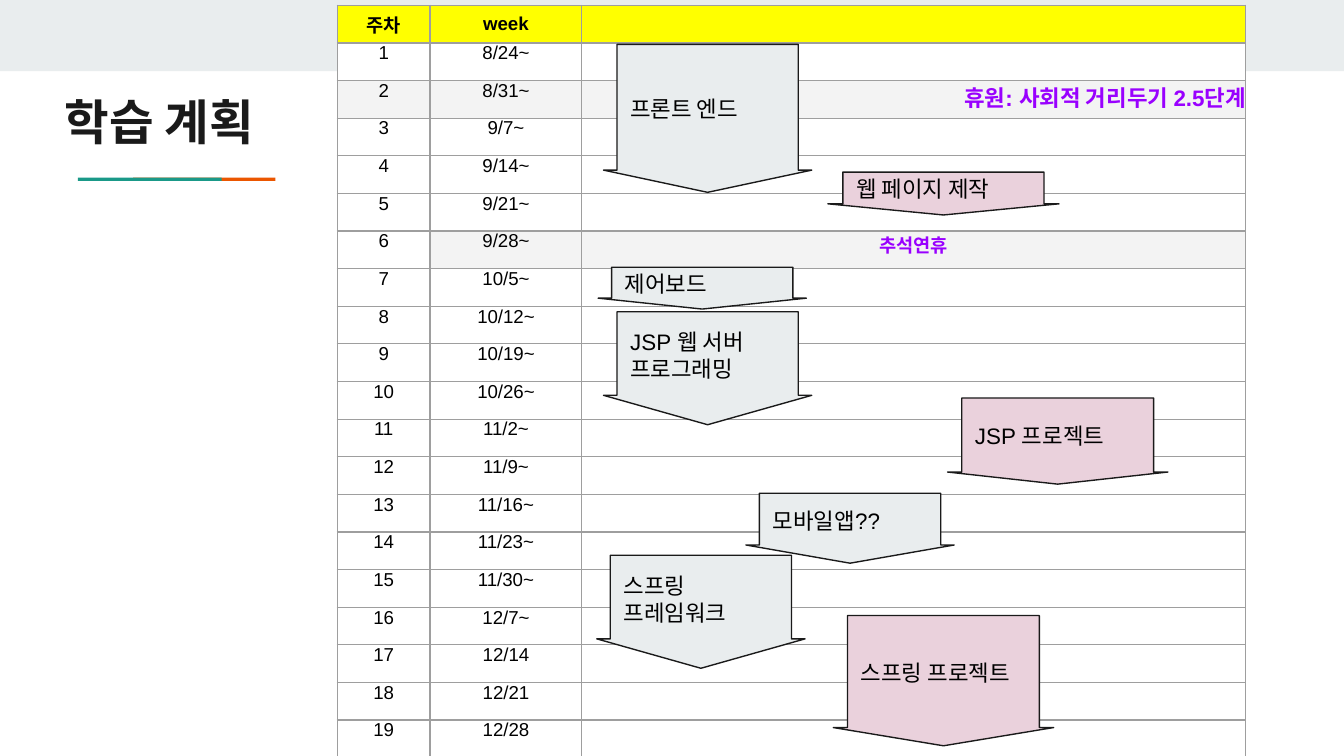
from dataclasses import dataclass
from lxml.etree import SubElement as Sub
from pptx import Presentation as Deck
from pptx.dml.color import RGBColor as Rgb
from pptx.enum.shapes import MSO_SHAPE as Form
from pptx.enum.text import MSO_ANCHOR as Anchor, MSO_AUTO_SIZE as Auto, PP_ALIGN as Align
from pptx.oxml.ns import qn
from pptx.util import Inches, Pt


@dataclass(frozen=True)
class Theme:
    white: str = "FFFFFF"
    mist: str = "E9EDEE"
    pink: str = "EAD1DC"
    teal: str = "1A9988"
    flame: str = "EB5600"
    ink: str = "1A1A1A"
    black: str = "000000"
    violet: str = "9900FF"
    yellow: str = "FFFF00"
    shade: str = "F3F3F3"
    rule: str = "9E9E9E"
    face: str = "Arial"
    bold_face: str = "Manrope"
    head: float = 26
    label: float = 12
    small: float = 10
    stroke: float = 0.75


@dataclass(frozen=True)
class Box:
    left: float
    top: float
    width: float
    height: float


@dataclass(frozen=True)
class Arrow:
    text: str
    left: float
    row: float
    width: float
    rows: float
    fill: str
    tip: float = 0.26


@dataclass(frozen=True)
class Note:
    text: str
    size: float
    align: Align


look = Theme()
WIDE, HIGH = Inches(10), Inches(5.625)
GRID = Box(25.1, 0.7, 67.6, 99.6)
COLS = (6.9, 11.3, 49.4)
DATES = ("8/24~ 8/31~ 9/7~ 9/14~ 9/21~ 9/28~ 10/5~ 10/12~ 10/19~ 10/26~ "
         "11/2~ 11/9~ 11/16~ 11/23~ 11/30~ 12/7~ 12/14 12/21 12/28").split()
STEP = GRID.height / (len(DATES) + 1)
NOTES = {
    2: Note("휴원: 사회적 거리두기 2.5단계", look.label, Align.RIGHT),
    6: Note("추석연휴", look.small, Align.CENTER),
}
SHADED = {(2, 0), (2, 1), (2, 2), (6, 1), (6, 2)}
BARS = (
    (Box(0, 0, 100, 9.4), look.mist),
    (Box(9.9, 23.5, 10.6, 0.45), look.flame),
    (Box(5.8, 23.5, 10.7, 0.45), look.teal),
)
ARROWS = (
    Arrow("프론트 엔드", 44.9, 1.04, 15.5, 3.93, look.mist, 0.15),
    Arrow("웹 페이지 제작", 61.6, 4.43, 17.2, 1.14, look.pink),
    Arrow("제어보드", 44.5, 6.96, 15.5, 1.11, look.mist),
    Arrow("스프링 프레임워크", 44.4, 14.61, 15.5, 3, look.mist),
    Arrow("스프링 프로젝트", 62, 16.21, 16.4, 3.46, look.pink, 0.14),
    Arrow("모바일앱??", 55.5, 12.96, 15.5, 1.86, look.mist),
    Arrow("JSP 웹 서버 프로그래밍", 44.9, 8.14, 15.5, 3, look.mist),
    Arrow("JSP 프로젝트", 70.5, 10.43, 16.4, 2.29, look.pink, 0.14),
)


def style(item, form: dict) -> None:
    for key, value in form.items():
        setattr(item, key, value)


def across(share: float) -> int:
    return round(WIDE * share / 100)


def down(share: float) -> int:
    return round(HIGH * share / 100)


def place(box: Box) -> tuple:
    return across(box.left), down(box.top), across(box.width), down(box.height)


def paint(item, tint: str) -> None:
    item.fill.solid()
    item.fill.fore_color.rgb = Rgb.from_string(tint)


def write(frame, text: str, size: float, tint: str, align: Align = Align.LEFT,
          bold: bool = False, face: str = look.face) -> None:
    line = frame.paragraphs[0]
    line.alignment = align
    run = line.add_run()
    run.text = text
    style(run.font, {"name": face, "size": Pt(size), "bold": bold})
    run.font.color.rgb = Rgb.from_string(tint)


def pad(frame, inset: float) -> None:
    sides = ("left", "top", "right", "bottom")
    style(frame, {f"margin_{side}": Inches(inset) for side in sides})


def draw_form(slide, kind: Form, box: Box, tint: str):
    shape = slide.shapes.add_shape(kind, *place(box))
    shape.shadow.inherit = False
    paint(shape, tint)
    shape.line.fill.background()
    return shape


def draw_title(slide, text: str) -> None:
    title = slide.shapes.title
    spot = place(Box(3.8, 10.8, 18.5, 10.5))
    style(title, dict(zip(("left", "top", "width", "height"), spot)))
    frame = title.text_frame
    style(frame, {"word_wrap": True, "auto_size": Auto.NONE,
                  "vertical_anchor": Anchor.MIDDLE})
    pad(frame, 0.1)
    write(frame, text, look.head, look.ink, bold=True, face=look.bold_face)


def edge(cell) -> None:
    props = cell._tc.get_or_add_tcPr()
    for side in ("lnL", "lnR", "lnT", "lnB"):
        line = Sub(props, qn(f"a:{side}"), w=str(Pt(look.stroke)))
        fill = Sub(line, qn("a:solidFill"))
        Sub(fill, qn("a:srgbClr"), val=look.rule)


def fill_cell(cell, row: int, col: int) -> None:
    edge(cell)
    pad(cell, 0)
    first = row == 0
    shade = look.shade if (row, col) in SHADED else look.white
    paint(cell, look.yellow if first else shade)
    cell.vertical_anchor = Anchor.MIDDLE if first else Anchor.TOP
    frame = cell.text_frame
    if col < 2:
        text = ("주차", "week")[col] if first else (str(row), DATES[row - 1])[col]
        write(frame, text, look.small, look.black, Align.CENTER, first)
    elif row in NOTES:
        note = NOTES[row]
        write(frame, note.text, note.size, look.violet, note.align, True)
    else:
        end = frame.paragraphs[0]._p.get_or_add_endParaRPr()
        end.set("sz", str(look.small * 100))


def draw_grid(slide) -> None:
    count = len(DATES) + 1
    table = slide.shapes.add_table(count, len(COLS), *place(GRID)).table
    style(table, {"first_row": False, "horz_banding": False})
    for col, share in zip(table.columns, COLS):
        col.width = across(share)
    for row, line in enumerate(table.rows):
        line.height = down(STEP)
        for col, cell in enumerate(line.cells):
            fill_cell(cell, row, col)


def draw_arrow(slide, arrow: Arrow) -> None:
    box = Box(arrow.left, GRID.top + arrow.row * STEP, arrow.width, arrow.rows * STEP)
    shape = draw_form(slide, Form.DOWN_ARROW, box, arrow.fill)
    shape.adjustments[0] = 0.87
    shape.adjustments[1] = arrow.tip
    shape.line.color.rgb = Rgb.from_string(look.ink)
    shape.line.width = Pt(look.stroke)
    frame = shape.text_frame
    style(frame, {"word_wrap": True, "vertical_anchor": Anchor.MIDDLE})
    pad(frame, 0.1)
    write(frame, arrow.text, look.label, look.black)


def main() -> None:
    deck = Deck()
    style(deck, {"slide_width": WIDE, "slide_height": HIGH})
    slide = deck.slides.add_slide(deck.slide_layouts[5])
    for box, tint in BARS:
        draw_form(slide, Form.RECTANGLE, box, tint)
    draw_title(slide, "학습 계획")
    draw_grid(slide)
    for arrow in ARROWS:
        draw_arrow(slide, arrow)
    deck.save("out.pptx")


if __name__ == "__main__":
    main()
